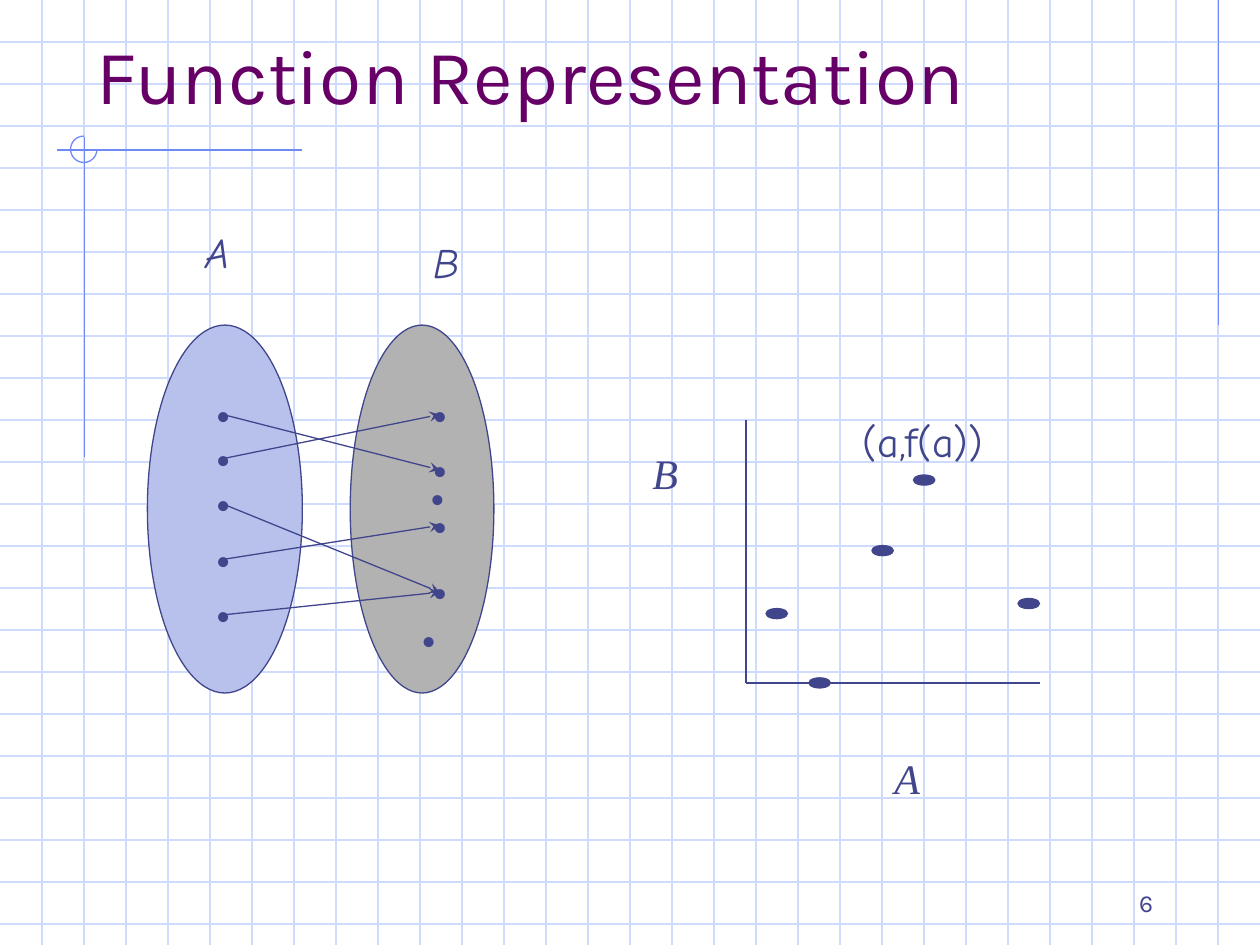
from dataclasses import dataclass

import pptx
import pptx.dml.color
import pptx.enum.shapes
import pptx.enum.text
import pptx.oxml.ns
import pptx.util
from lxml import etree
from pptx.util import Inches

SHAPE = pptx.enum.shapes.MSO_SHAPE
ALIGN = pptx.enum.text.PP_ALIGN
ANCHOR = pptx.enum.text.MSO_ANCHOR
FIT = pptx.enum.text.MSO_AUTO_SIZE


@dataclass(frozen=True)
class Theme:
    ink: str = "40458C"
    title: str = "660066"
    grid: str = "CFDBFD"
    ornament: str = "6F89F7"
    domain: str = "B7C1EB"
    codomain: str = "B2B2B2"
    sans: str = "Karla"
    hand: str = "Comic Neue"
    serif: str = "Times New Roman"
    title_size: int = 44
    label_size: int = 24
    number_size: int = 14
    line_width: float = 0.75


THEME = Theme()


@dataclass(frozen=True)
class Label:
    text: str
    left: float
    top: float
    width: float
    height: float = 0.5
    font: str = THEME.hand
    size: int = THEME.label_size
    color: str = THEME.ink
    italic: bool = False
    align: ALIGN = ALIGN.LEFT
    anchor: ANCHOR = ANCHOR.TOP
    wrap: bool = False
    grow: bool = True


@dataclass(frozen=True)
class Point:
    x: float
    y: float


@dataclass(frozen=True)
class Oval:
    left: float
    top: float
    width: float
    height: float
    fill: str


def rgb(color: str) -> pptx.dml.color.RGBColor:
    return pptx.dml.color.RGBColor.from_string(color)


def set_line(shape, color: str) -> None:
    shape.line.color.rgb = rgb(color)
    shape.line.width = pptx.util.Pt(THEME.line_width)


def add_line(page, start: Point, end: Point, color: str = THEME.ink, arrow: bool = False) -> None:
    line = page.shapes.add_connector(
        pptx.enum.shapes.MSO_CONNECTOR.STRAIGHT,
        Inches(start.x), Inches(start.y), Inches(end.x), Inches(end.y))
    set_line(line, color)
    properties = line._element.spPr
    if arrow:
        outline = properties.find(pptx.oxml.ns.qn("a:ln"))
        etree.SubElement(outline, pptx.oxml.ns.qn("a:tailEnd"), type="stealth")
    etree.SubElement(properties, pptx.oxml.ns.qn("a:effectLst"))


def add_label(page, label: Label) -> None:
    box = page.shapes.add_textbox(
        Inches(label.left), Inches(label.top), Inches(label.width), Inches(label.height))
    frame = box.text_frame
    frame.word_wrap = label.wrap
    frame.auto_size = FIT.SHAPE_TO_FIT_TEXT if label.grow else FIT.NONE
    frame.vertical_anchor = label.anchor
    para = frame.paragraphs[0]
    para.text = label.text
    para.alignment = label.align
    para.font.name = label.font
    para.font.size = pptx.util.Pt(label.size)
    para.font.italic = label.italic
    para.font.color.rgb = rgb(label.color)


def add_oval(page, oval: Oval) -> None:
    shape = page.shapes.add_shape(
        SHAPE.OVAL, Inches(oval.left), Inches(oval.top), Inches(oval.width), Inches(oval.height))
    shape.shadow.inherit = False
    shape.fill.solid()
    shape.fill.fore_color.rgb = rgb(oval.fill)
    set_line(shape, THEME.ink)


def add_element(page, center: Point) -> None:
    """Mark one element of a set with a centred dot."""
    width, height = 0.31, 0.5
    add_label(page, Label("•", center.x - width / 2, center.y - height / 2, width, height,
                          font=THEME.serif, align=ALIGN.CENTER, anchor=ANCHOR.MIDDLE))


def add_background(page, width: float, height: float) -> None:
    # Graph paper, three squares to the inch
    for step in range(1, int(height * 3) + 1):
        add_line(page, Point(0, step / 3), Point(width, step / 3), THEME.grid)
    for step in range(1, int(width * 3)):
        add_line(page, Point(step / 3, 0), Point(step / 3, height), THEME.grid)

    # Corner ornaments
    add_line(page, Point(9.67, 0), Point(9.67, 2.58), THEME.ornament)
    add_line(page, Point(2.4, 1.19), Point(0.45, 1.19), THEME.ornament)
    add_line(page, Point(0.67, 1.09), Point(0.67, 3.63), THEME.ornament)
    arc = page.shapes.add_shape(SHAPE.ARC, Inches(0.56), Inches(1.08), Inches(0.21), Inches(0.21))
    arc.shadow.inherit = False
    arc.fill.background()
    arc.adjustments[0] = 0
    arc.adjustments[1] = 162  # 270 degrees, in units of 1/0.6 degree
    set_line(arc, THEME.ornament)


def add_mapping(page) -> None:
    add_oval(page, Oval(1.17, 2.58, 1.23, 2.92, THEME.domain))
    add_oval(page, Oval(2.78, 2.58, 1.14, 2.92, THEME.codomain))
    add_label(page, Label("A", 1.53, 1.75, 0.39, italic=True))
    add_label(page, Label("B", 3.34, 1.83, 0.4, italic=True))

    inputs = [Point(1.77, y) for y in (3.29, 3.64, 4, 4.44, 4.88)]
    outputs = [Point(3.49, y) for y in (3.29, 3.73, 4.17, 4.7)]
    unmapped = [Point(3.47, 3.95), Point(3.4, 5.08)]
    for center in inputs + outputs + unmapped:
        add_element(page, center)
    for start, target in zip(inputs, (1, 0, 3, 2, 3)):
        add_line(page, start, outputs[target], arrow=True)


def add_graph(page) -> None:
    origin = Point(5.92, 5.42)
    add_line(page, origin, Point(8.25, origin.y))
    add_line(page, origin, Point(origin.x, 3.33))
    add_label(page, Label("A", 7, 5.92, 0.4, font=THEME.serif, italic=True,
                          align=ALIGN.CENTER, anchor=ANCHOR.MIDDLE))
    add_label(page, Label("B", 5.08, 3.5, 0.67, font=THEME.serif, italic=True, wrap=True))
    add_label(page, Label("(a,f(a))", 6.75, 3.25, 1.42, wrap=True))
    for left, top in ((6.08, 4.83), (6.42, 5.38), (6.92, 4.33), (7.25, 3.77), (8.08, 4.75)):
        add_oval(page, Oval(left, top, 0.17, 0.08, THEME.ink))


def main() -> None:
    width, height = 10, 7.5
    deck = pptx.Presentation()
    deck.slide_width, deck.slide_height = Inches(width), Inches(height)
    page = deck.slides.add_slide(deck.slide_layouts[6])

    add_background(page, width, height)

    # Title and page number
    add_label(page, Label("Function Representation", 0.67, 0.33, 9, 0.67, THEME.sans,
                          THEME.title_size, THEME.title, anchor=ANCHOR.BOTTOM,
                          wrap=True, grow=False))
    add_label(page, Label("6", 7.17, 7.08, 2.08, 0.25, THEME.sans, THEME.number_size,
                          align=ALIGN.RIGHT, anchor=ANCHOR.BOTTOM, wrap=True, grow=False))

    # The function as arrows between sets, and as points in a plane
    add_mapping(page)
    add_graph(page)
    deck.save("out.pptx")


if __name__ == "__main__":
    main()
